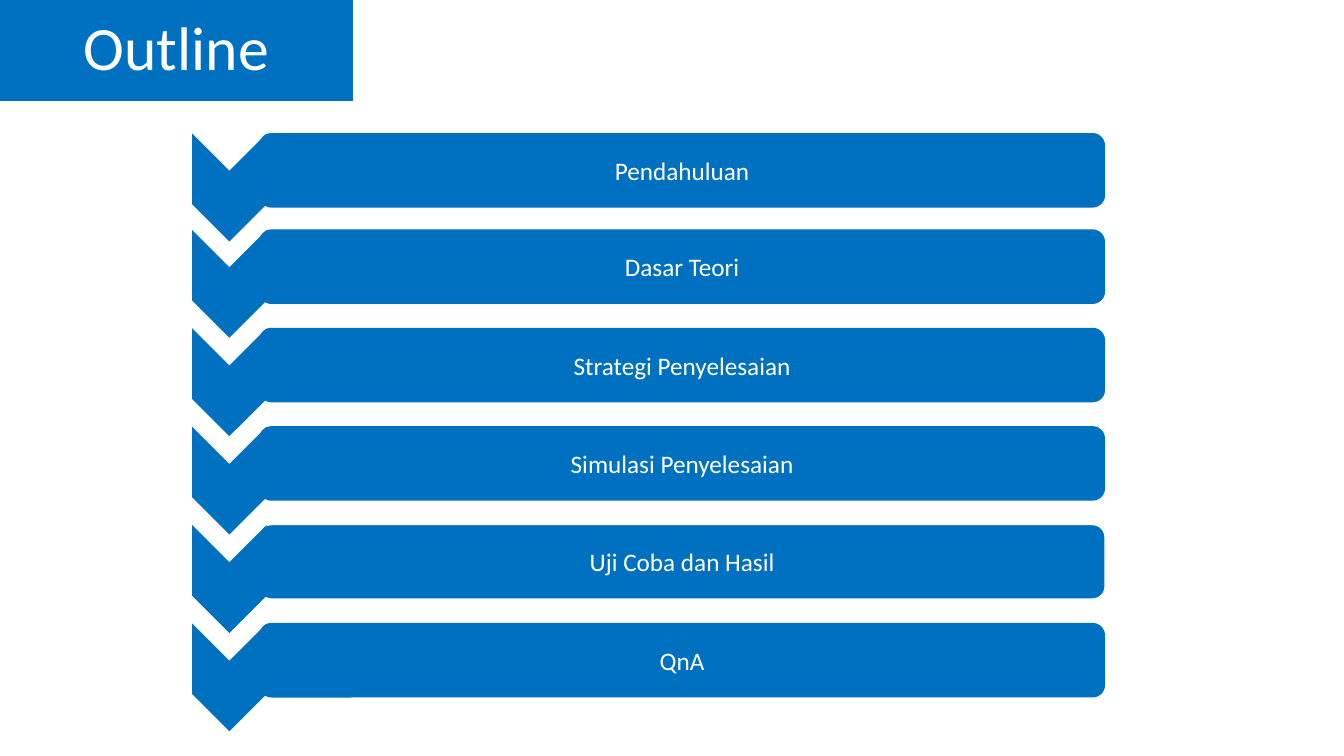
import pptx
import pptx.util
import pptx.dml.color
import pptx.enum.shapes
import pptx.enum.text

TITLE = "Outline"
TOPICS = [
    {"text": "Pendahuluan", "nudge": 0.02},
    {"text": "Dasar Teori"},
    {"text": "Strategi Penyelesaian"},
    {"text": "Simulasi Penyelesaian"},
    {"text": "Uji Coba dan Hasil", "edge": 1},
    {"text": "QnA"},
]
THEME = {
    "blue": pptx.dml.color.RGBColor.from_string("0070C0"),
    "white": pptx.dml.color.RGBColor.from_string("FFFFFF"),
    "font": "Calibri",
    "title": 44,
    "body": 18,
}
WIDE, HIGH = 13.33, 7.5
HEAD = (0, 0, 3.5, 1)
FIRST, LAST = 1.3, 6.18
BAR_LEFT, BAR_WIDE, BAR_HIGH = 2.57, 8.39, 0.74
MARK_LEFT, MARK_WIDE, MARK_DROP = 1.74, 1.07, 0.17
PITCH = (LAST - FIRST) / (len(TOPICS) - 1)
KIND = pptx.enum.shapes.MSO_SHAPE


def paint(shape):
    shape.fill.solid()
    shape.fill.fore_color.rgb = THEME["blue"]
    shape.line.fill.background()


def write(shape, text, size):
    frame = shape.text_frame
    frame.word_wrap = True
    frame.vertical_anchor = pptx.enum.text.MSO_ANCHOR.MIDDLE
    para = frame.paragraphs[0]
    para.alignment = pptx.enum.text.PP_ALIGN.CENTER
    run = para.add_run()
    run.text = text
    run.font.name = THEME["font"]
    run.font.size = pptx.util.Pt(size)
    run.font.color.rgb = THEME["white"]
    return para


def draw(slide, kind, *box):
    shape = slide.shapes.add_shape(kind, *map(pptx.util.Inches, box))
    shape.shadow.inherit = False
    paint(shape)
    return shape


def main():
    deck = pptx.Presentation()
    deck.slide_width = pptx.util.Inches(WIDE)
    deck.slide_height = pptx.util.Inches(HIGH)
    slide = deck.slides.add_slide(deck.slide_layouts[5])

    head = slide.shapes.title
    head.left, head.top, head.width, head.height = map(pptx.util.Inches, HEAD)
    paint(head)
    write(head, TITLE, THEME["title"]).line_spacing = 0.9

    tops = [FIRST + row * PITCH + topic.get("nudge", 0)
            for row, topic in enumerate(TOPICS)]
    for topic, top in zip(TOPICS, tops):
        bar = draw(slide, KIND.ROUNDED_RECTANGLE, BAR_LEFT, top, BAR_WIDE, BAR_HIGH)
        write(bar, topic["text"], THEME["body"])
        if "edge" in topic:
            bar.line.color.rgb = THEME["white"]
            bar.line.width = pptx.util.Pt(topic["edge"])
    for top in tops:
        mark = draw(slide, KIND.CHEVRON, MARK_LEFT, top + MARK_DROP, MARK_WIDE, BAR_HIGH)
        mark.rotation = 90

    deck.save("out.pptx")


if __name__ == "__main__":
    main()
